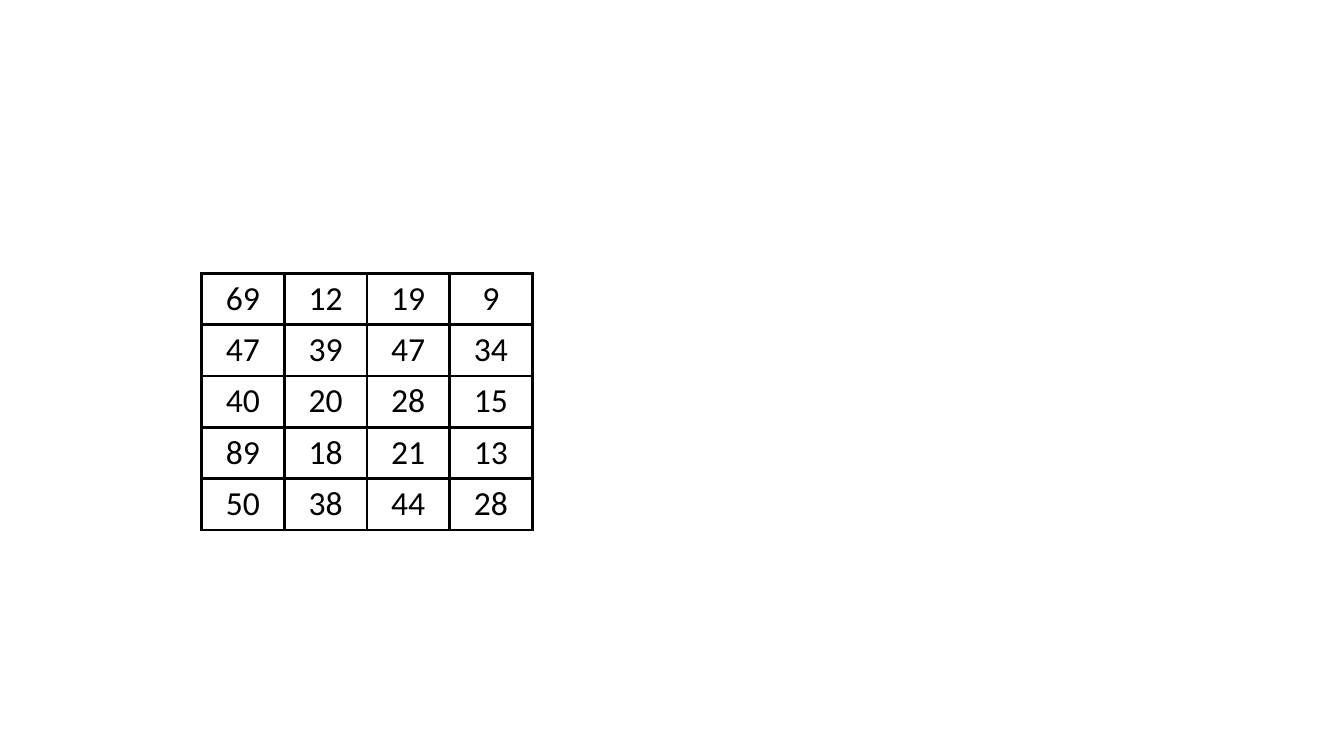
from lxml import etree
from pptx import Presentation
from pptx import util as u
from pptx.dml.color import RGBColor
from pptx.enum import text
from pptx.oxml import ns

COLORS = {"ink": "000000"}
NUMBERS = [
    [69, 12, 19, 9],
    [47, 39, 47, 34],
    [40, 20, 28, 15],
    [89, 18, 21, 13],
    [50, 38, 44, 28],
]
COLUMN_WIDTH, ROW_HEIGHT = 0.82, 0.51
BORDER_WIDTH = u.Pt(2.25)


def add_borders(cell):
    properties = cell._tc.get_or_add_tcPr()
    for side in ("a:lnL", "a:lnR", "a:lnT", "a:lnB"):
        line = etree.SubElement(properties, ns.qn(side), w=str(BORDER_WIDTH))
        fill = etree.SubElement(line, ns.qn("a:solidFill"))
        etree.SubElement(fill, ns.qn("a:srgbClr"), val=COLORS["ink"])


# Slide
presentation = Presentation()
presentation.slide_width = u.Inches(13.33)
presentation.slide_height = u.Inches(7.5)
slide = presentation.slides.add_slide(presentation.slide_layouts[6])

# Number table
row_count, column_count = len(NUMBERS), len(NUMBERS[0])
table = slide.shapes.add_table(
    row_count, column_count, u.Inches(2), u.Inches(2.71),
    u.Inches(column_count * COLUMN_WIDTH), u.Inches(row_count * ROW_HEIGHT),
).table
table.first_row = False
table.horz_banding = False
for column in table.columns:
    column.width = u.Inches(COLUMN_WIDTH)
for row in table.rows:
    row.height = u.Inches(ROW_HEIGHT)

# Cell values and formatting
for row, numbers in zip(table.rows, NUMBERS):
    for cell, number in zip(row.cells, numbers):
        add_borders(cell)
        cell.fill.background()
        cell.text_frame.text = str(number)
        paragraph = cell.text_frame.paragraphs[0]
        paragraph.alignment = text.PP_ALIGN.CENTER
        font = paragraph.runs[0].font
        font.name = "Calibri"
        font.size = u.Pt(24)
        font.color.rgb = RGBColor.from_string(COLORS["ink"])

presentation.save("out.pptx")
